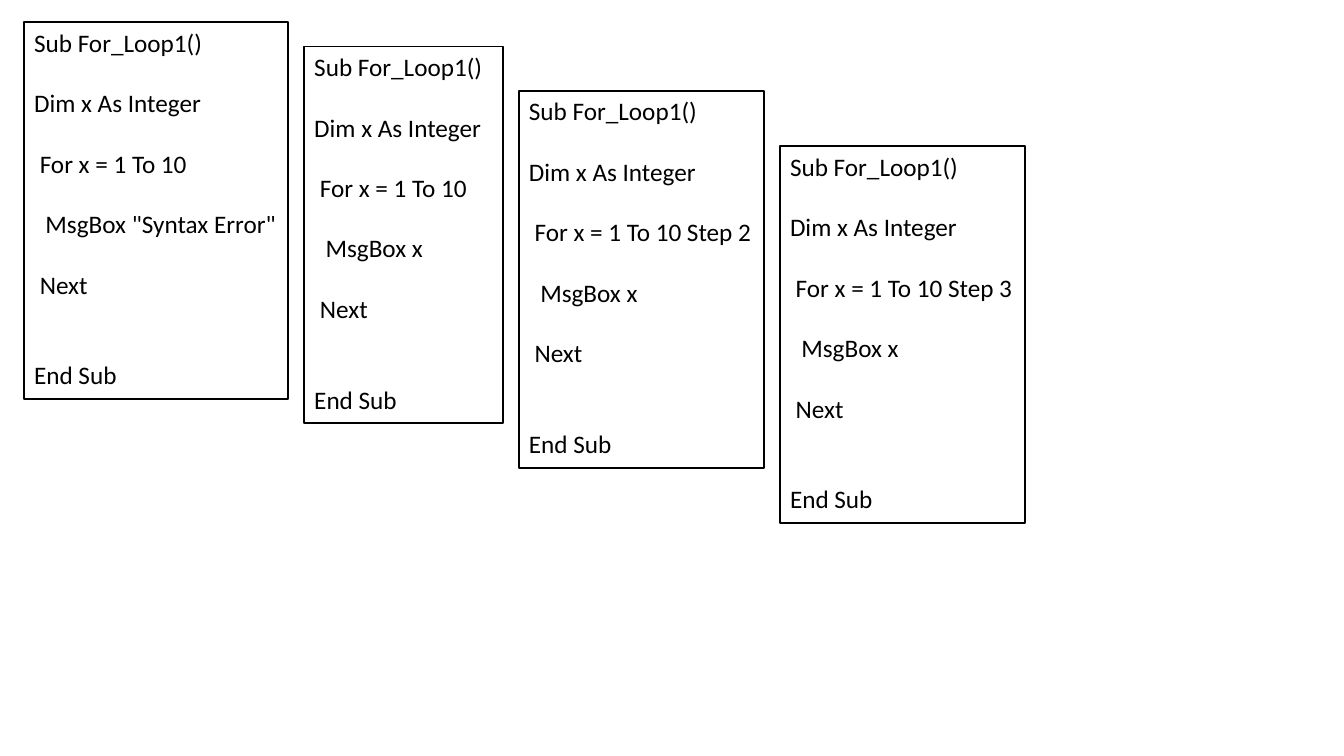
import pptx
import pptx.dml.color
import pptx.enum.text
import pptx.util

Cm = pptx.util.Cm
Pt = pptx.util.Pt
COLORS = {"ink": "000000"}
INK = pptx.dml.color.RGBColor.from_string(COLORS["ink"])
BOX_HEIGHT = 9.5
BOX_GAP = 0.41
BLANK_LINE = 21.6

prs = pptx.Presentation()
prs.slide_width = Cm(33.87)
prs.slide_height = Cm(19.05)
slide = prs.slides.add_slide(prs.slide_layouts[6])

listings = [
    (0.56, 6.65, "1 To 10", '"Syntax Error"'),
    (1.17, 5.0, "1 To 10", "x"),
    (2.29, 6.17, "1 To 10 Step 2", "x"),
    (3.68, 6.17, "1 To 10 Step 3", "x"),
]

left = 0.61
for top, width, loop_range, message in listings:
    code = [
        ("Sub For_Loop1()", 0),
        ("Dim x As Integer", 1),
        (f" For x = {loop_range}", 1),
        (f"  MsgBox {message}", 1),
        (" Next", 1),
        ("End Sub", 2),
    ]
    sp = slide.shapes.add_textbox(Cm(left), Cm(top), Cm(width), Cm(BOX_HEIGHT))
    sp.line.color.rgb = INK
    sp.line.width = Pt(1.25)
    tf = sp.text_frame
    tf.word_wrap = False
    tf.auto_size = pptx.enum.text.MSO_AUTO_SIZE.SHAPE_TO_FIT_TEXT
    tf.text = "\n".join(line for line, blanks in code)
    for p, (line, blanks) in zip(tf.paragraphs, code):
        if blanks:
            p.space_before = Pt(blanks * BLANK_LINE)
        r = p.runs[0]
        r.font.name = "Calibri"
        r.font.size = Pt(18)
        r.font.color.rgb = INK
    left += width + BOX_GAP

prs.save("out.pptx")
